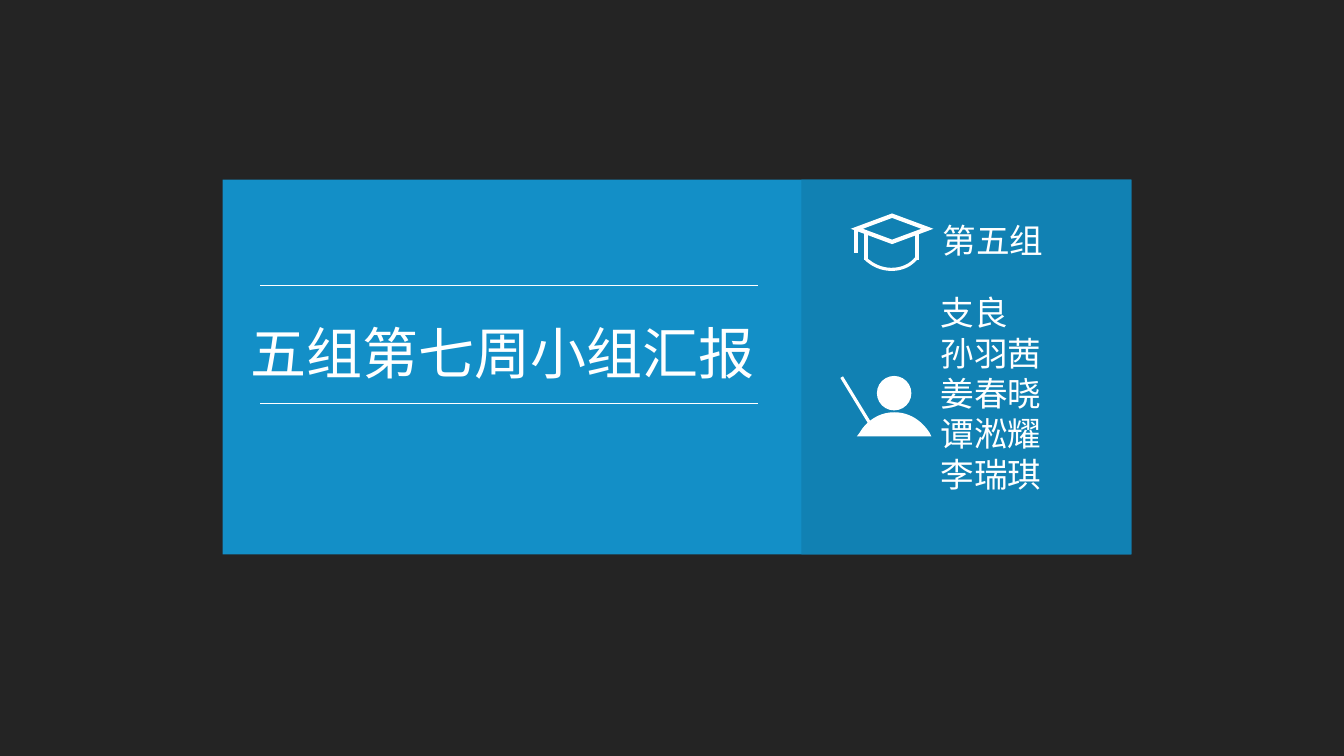
import pptx
import pptx.util
import pptx.dml.color
import pptx.enum.shapes
import pptx.enum.text
import pptx.oxml.ns
from lxml import etree

WHITE = pptx.dml.color.RGBColor(0xFF, 0xFF, 0xFF)
BACKDROP = pptx.dml.color.RGBColor(0x24, 0x24, 0x24)
CARD_BLUE = pptx.dml.color.RGBColor(0x13, 0x8F, 0xC7)
PANEL_BLUE = pptx.dml.color.RGBColor(0x11, 0x81, 0xB3)
FONT = "Noto Sans CJK SC"
SHAPE = pptx.enum.shapes.MSO_SHAPE
STRAIGHT = pptx.enum.shapes.MSO_CONNECTOR.STRAIGHT
qn = pptx.oxml.ns.qn

deck = pptx.Presentation()
deck.slide_width = pptx.util.Inches(13.33)
deck.slide_height = pptx.util.Inches(7.5)
COL = deck.slide_width / 160
ROW = deck.slide_height / 90


def grid(*lengths):
    return [round(n * (ROW if i % 2 else COL)) for i, n in enumerate(lengths)]


def curve(start, control_1, control_2, end, steps=16):
    points = []
    for step in range(steps + 1):
        t = step / steps
        weights = ((1 - t) ** 3, 3 * t * (1 - t) ** 2, 3 * t * t * (1 - t), t ** 3)
        corners = (start, control_1, control_2, end)
        points.append(grid(*(sum(w * c[axis] for w, c in zip(weights, corners)) for axis in (0, 1))))
    return points


slide = deck.slides.add_slide(deck.slide_layouts[5])
slide.background.fill.solid()
slide.background.fill.fore_color.rgb = BACKDROP

card = slide.shapes.add_shape(SHAPE.RECTANGLE, *grid(26.5, 21.4, 108.2, 44.6))
panel = slide.shapes.add_shape(SHAPE.RECTANGLE, *grid(95.4, 21.4, 39.3, 44.6))

title = slide.shapes.title
slide.shapes._spTree.append(title._element)
title.left, title.top, title.width, title.height = grid(29.28, 37.3, 62.9, 10.6)
group_name = slide.shapes.add_textbox(*grid(111.6, 25.6, 18.36, 5.2))
members = slide.shapes.add_textbox(*grid(111.36, 34.2, 18.36, 21.2))

for box, lines, size in (
    (title, ["五组第七周小组汇报"], 40),
    (group_name, ["第五组"], 24),
    (members, ["支良", "孙羽茜", "姜春晓", "谭淞耀", "李瑞琪"], 24),
):
    frame = box.text_frame
    frame.text = "\n".join(lines)
    frame.word_wrap = True
    frame.auto_size = pptx.enum.text.MSO_AUTO_SIZE.NONE
    frame.vertical_anchor = pptx.enum.text.MSO_ANCHOR.TOP
    frame.margin_left = frame.margin_right = pptx.util.Inches(0.05)
    frame.margin_top = frame.margin_bottom = pptx.util.Inches(0.05)
    for paragraph in frame.paragraphs:
        paragraph.alignment = pptx.enum.text.PP_ALIGN.JUSTIFY
        paragraph.line_spacing = pptx.util.Pt(size * 1.2)
        paragraph.font.size = pptx.util.Pt(size)
        paragraph.font.name = FONT
        paragraph.font.color.rgb = WHITE
        for run in paragraph.runs:
            run_properties = run._r.get_or_add_rPr()
            etree.SubElement(run_properties, qn("a:ea"), typeface=FONT)

cap = slide.shapes.add_group_shape().shapes
presenter = slide.shapes.add_group_shape().shapes

board = cap.add_shape(SHAPE.DIAMOND, *grid(102, 25.68, 8.4, 3.12))
rim_points = curve((109.1, 30.72), (107.8, 32.4), (105.1, 32.5), (103.4, 31.1))
rim_points += curve((103.4, 31.1), (103.2, 31), (103.1, 30.8), (103, 30.7))[1:]
rim_builder = cap.build_freeform(*rim_points[0], scale=1.0)
rim_builder.add_line_segments(rim_points[1:], close=False)
rim = rim_builder.convert_to_shape()

head = presenter.add_shape(SHAPE.OVAL, *grid(104.4, 44.76, 4.1, 4.1))
body_points = curve((106.44, 49.08), (108.24, 49.08), (109.68, 50.04), (110.64, 51.48))
body_points += [grid(110.88, 51.96), grid(102, 51.96)]
body_points += curve((102.36, 51.48), (103.2, 50.04), (104.76, 49.08), (106.44, 49.08))
body_builder = presenter.build_freeform(*body_points[0], scale=1.0)
body_builder.add_line_segments(body_points[1:], close=True)
body = body_builder.convert_to_shape()

for part, colour in ((card, CARD_BLUE), (panel, PANEL_BLUE), (head, WHITE), (body, WHITE)):
    part.shadow.inherit = False
    part.fill.solid()
    part.fill.fore_color.rgb = colour
    part.line.fill.background()

for part, weight in ((board, 3), (rim, 2.25)):
    part.shadow.inherit = False
    part.fill.background()
    part.line.color.rgb = WHITE
    part.line.width = pptx.util.Pt(weight)
    etree.SubElement(part.line._get_or_add_ln(), qn("a:miter"), lim="800000")

for owner, ends, weight in (
    (slide.shapes, (31, 33.96, 90.25, 33.96), 1),
    (slide.shapes, (31, 48, 90.25, 48), 1),
    (cap, (101.9, 27.24, 101.9, 30.12), 3),
    (cap, (103.1, 27.6, 103.1, 31), 3),
    (cap, (109.2, 27.6, 109.2, 31), 3),
    (presenter, (100.2, 44.9, 103.56, 50.4), 2.25),
):
    stroke = owner.add_connector(STRAIGHT, *grid(*ends))
    stroke.line.color.rgb = WHITE
    stroke.line.width = pptx.util.Pt(weight)
    etree.SubElement(stroke._element.spPr, qn("a:effectLst"))

deck.save("out.pptx")
